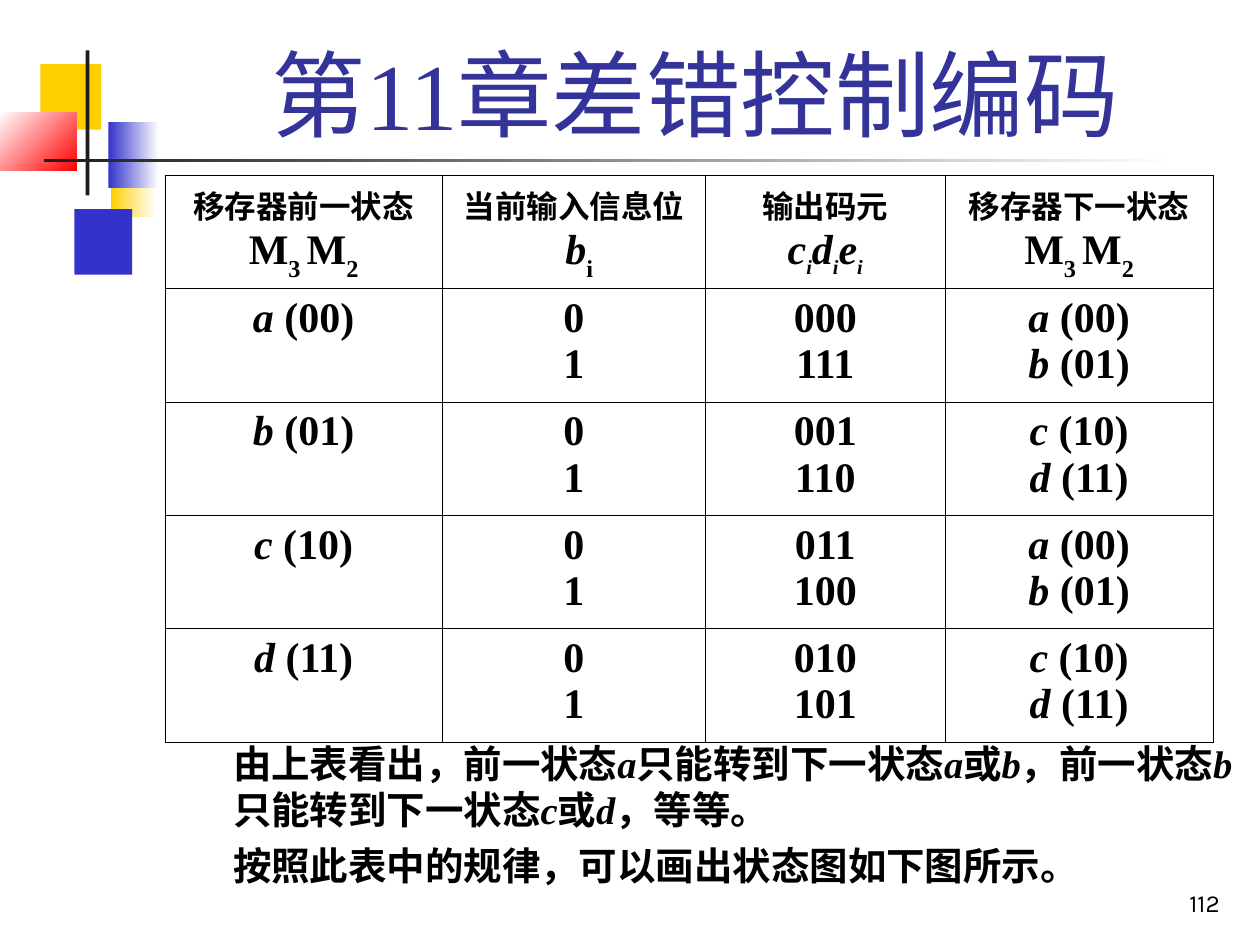
import pptx
import pptx.util
import pptx.dml.color
import pptx.enum.lang
import pptx.enum.shapes
import pptx.enum.text
import pptx.oxml
import pptx.oxml.ns

Inches, Pt = pptx.util.Inches, pptx.util.Pt
RGBColor = pptx.dml.color.RGBColor
ALIGN, ANCHOR = pptx.enum.text.PP_ALIGN, pptx.enum.text.MSO_ANCHOR

BLACK = RGBColor(0x00, 0x00, 0x00)
WHITE = RGBColor(0xFF, 0xFF, 0xFF)
YELLOW = RGBColor(0xFF, 0xCF, 0x01)
BLUE = RGBColor(0x33, 0x33, 0xCC)
RED = RGBColor(0xFF, 0x00, 0x00)
CHARCOAL = RGBColor(0x1C, 0x1C, 0x1C)
TITLE_BLUE = RGBColor(0x33, 0x33, 0x99)
SERIF, SANS = "Times New Roman", "Karla"

# Content: a run is (text, size, style), style "i" italic, "s" subscript
TITLE = "第11章差错控制编码"
PAGE_NUMBER = "112"
REGISTERS = [("M", 24, ""), ("3 ", 24, "s"), ("M", 24, ""), ("2", 24, "s")]
OUTPUT_SYMBOLS = [run for letter in "cde"
                  for run in ((letter, 24, "i"), ("i", 20, "is"))]
HEADERS = [
    ("移存器前一状态", REGISTERS),
    ("当前输入信息位", [(" ", 24, ""), ("b", 24, "i"), ("i", 24, "s")]),
    ("输出码元", OUTPUT_SYMBOLS),
    ("移存器下一状态", REGISTERS),
]
STATE_BITS = {"a": "00", "b": "01", "c": "10", "d": "11"}
INPUT_BITS = ["0", "1"]
TRANSITIONS = [  # previous state, output symbols, next states
    ("a", ["000", "111"], "ab"),
    ("b", ["001", "110"], "cd"),
    ("c", ["011", "100"], "ab"),
    ("d", ["010", "101"], "cd"),
]
REMARKS = [  # pieces alternate between upright and italic
    ["由上表看出，前一状态", "a", "只能转到下一状态", "a", "或", "b", "，前一状态",
     "b", "只能转到下一状态", "c", "或", "d", "，等等。"],
    ["按照此表中的规律，可以画出状态图如下图所示。"],
]
ORNAMENTS = [  # left, top, width, height, colours, clockwise angle
    (0.88, 1.2, 0.36, 0.52, (YELLOW, WHITE), 0),
    (0.59, 1.66, 0.46, 0.52, (BLUE,), 0),
    (0.32, 0.51, 0.48, 0.52, (YELLOW,), 0),
    (0.86, 0.97, 0.4, 0.52, (BLUE, WHITE), 0),
    (0, 0.89, 0.61, 0.46, (WHITE, RED), 45),
    (0.68, 0.4, 0.03, 1.15, (CHARCOAL,), 0),
    (0.35, 1.26, 9, 0.03, (CHARCOAL, WHITE), 0),
]
TABLE_LEFT, TABLE_TOP = 1.31, 1.39
COLUMN_WIDTHS = [2.2, 2.09, 1.9, 2.13]
ROW_HEIGHT = 0.9
BORDER_WIDTH = Pt(0.45)


def add_run(paragraph, text, size, style="", bold=True, color=BLACK, font_name=SERIF):
    run = paragraph.add_run()
    run.text = text
    font = run.font
    font.name, font.size, font.bold = font_name, Pt(size), bold
    font.italic = "i" in style
    font.color.rgb = color
    font.language_id = pptx.enum.lang.MSO_LANGUAGE_ID.SIMPLIFIED_CHINESE
    if "s" in style:
        font._element.set("baseline", "-30000")


def place(shape, left, top, width, height):
    shape.left, shape.top = Inches(left), Inches(top)
    shape.width, shape.height = Inches(width), Inches(height)


def set_frame(shape, anchor):
    frame = shape.text_frame
    frame.word_wrap = True
    frame.auto_size = pptx.enum.text.MSO_AUTO_SIZE.NONE
    frame.vertical_anchor = anchor
    return frame


def paragraphs(frame, count):
    while len(frame.paragraphs) < count:
        frame.add_paragraph()
    return frame.paragraphs


def add_ornament(slide, left, top, width, height, colors, angle):
    shape = slide.shapes.add_shape(
        pptx.enum.shapes.MSO_SHAPE.RECTANGLE,
        Inches(left), Inches(top), Inches(width), Inches(height))
    shape.shadow.inherit = False
    shape.line.fill.background()
    if len(colors) == 1:
        shape.fill.solid()
        shape.fill.fore_color.rgb = colors[0]
        return
    shape.fill.gradient()
    shape.fill.gradient_angle = (360 - angle) % 360
    for stop, color in zip(shape.fill.gradient_stops, colors):
        stop.color.rgb = color


def fill_cell(cell, lines):
    for paragraph, runs in zip(paragraphs(cell.text_frame, len(lines)), lines):
        paragraph.alignment = ALIGN.CENTER
        for text, size, style in runs:
            add_run(paragraph, text, size, style)
    properties = cell._tc.get_or_add_tcPr()
    for side in ("lnL", "lnR", "lnT", "lnB"):
        properties.append(pptx.oxml.parse_xml(
            f'<a:{side} {pptx.oxml.ns.nsdecls("a")} w="{BORDER_WIDTH}"><a:solidFill>'
            f'<a:srgbClr val="{BLACK}"/></a:solidFill></a:{side}>'))
    cell.fill.background()


def state_line(name):
    return [(name, 24, "i"), (f" ({STATE_BITS[name]})", 24, "")]


def plain_lines(texts):
    return [[(text, 24, "")] for text in texts]


def add_state_table(slide):
    rows = [[[[(label, 18, "")], symbols] for label, symbols in HEADERS]]
    for previous, outputs, following in TRANSITIONS:
        rows.append([[state_line(previous)], plain_lines(INPUT_BITS),
                     plain_lines(outputs), [state_line(name) for name in following]])
    table = slide.shapes.add_table(
        len(rows), len(COLUMN_WIDTHS), Inches(TABLE_LEFT), Inches(TABLE_TOP),
        Inches(sum(COLUMN_WIDTHS)), Inches(ROW_HEIGHT * len(rows))).table
    table.first_row = table.horz_banding = False
    for column, width in zip(table.columns, COLUMN_WIDTHS):
        column.width = Inches(width)
    for row, contents in zip(table.rows, rows):
        row.height = Inches(ROW_HEIGHT)
        for cell, lines in zip(row.cells, contents):
            fill_cell(cell, lines)


def add_remarks(body):
    place(body, 0, 5.82, 10, 1.68)
    frame = set_frame(body, ANCHOR.TOP)
    for index, paragraph in enumerate(paragraphs(frame, len(REMARKS))):
        properties = paragraph._p.get_or_add_pPr()
        properties.set("marL", str(Inches(1.75)))
        properties.set("indent", "0")
        properties.append(pptx.oxml.parse_xml(
            f'<a:buNone {pptx.oxml.ns.nsdecls("a")}/>'))
        paragraph.space_before = Pt(5.5 if index else 0)
        for position, text in enumerate(REMARKS[index]):
            add_run(paragraph, text, 22, "i" if position % 2 else "")


def main():
    presentation = pptx.Presentation()
    presentation.slide_width, presentation.slide_height = Inches(10), Inches(7.5)
    slide = presentation.slides.add_slide(presentation.slide_layouts[1])

    # Corner ornaments and rule
    for ornament in ORNAMENTS:
        add_ornament(slide, *ornament)

    # Title
    title = slide.shapes.title
    place(title, 1.26, 0.23, 8.52, 1.01)
    paragraph = set_frame(title, ANCHOR.BOTTOM).paragraphs[0]
    paragraph.alignment = ALIGN.CENTER
    add_run(paragraph, TITLE, 54, bold=False, color=TITLE_BLUE)

    # Remarks and state table
    add_remarks(slide.placeholders[1])
    add_state_table(slide)

    # Page number
    number = slide.shapes.add_textbox(Inches(7.7), Inches(6.83), Inches(2.08), Inches(0.5))
    paragraph = set_frame(number, ANCHOR.BOTTOM).paragraphs[0]
    paragraph.alignment = ALIGN.RIGHT
    add_run(paragraph, PAGE_NUMBER, 14, bold=False, font_name=SANS)

    presentation.save("out.pptx")


if __name__ == "__main__":
    main()
